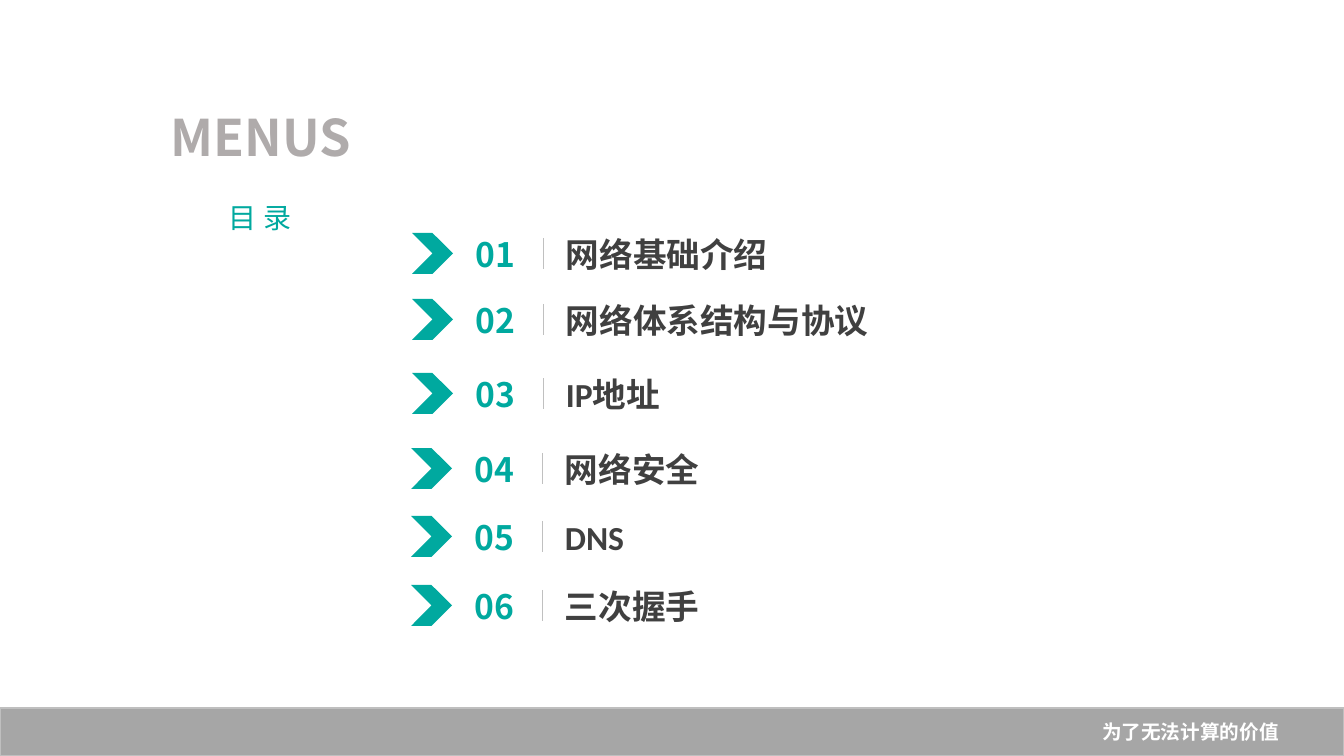
import dataclasses

import lxml.etree
import pptx
import pptx.dml.color
import pptx.enum.shapes
import pptx.enum.text
import pptx.oxml.ns
import pptx.util

SHAPE = pptx.enum.shapes.MSO_SHAPE
ALIGN = pptx.enum.text.PP_ALIGN
MIDDLE = pptx.enum.text.MSO_ANCHOR.MIDDLE


@dataclasses.dataclass(frozen=True)
class Theme:
    teal: str = "00A99F"
    dark: str = "404040"
    silver: str = "AFABAB"
    rule: str = "C0C0C0"
    band: str = "A6A6A6"
    edge: str = "BFBFBF"
    white: str = "FFFFFF"
    head: int = 36
    item: int = 24
    name: int = 20
    foot: int = 14
    sans: str = "Noto Sans CJK SC"
    latin: str = "Calibri"


def px(count):
    return pptx.util.Emu(round(count * 914400 / 100.8))


def color(code):
    return pptx.dml.color.RGBColor.from_string(code)


def apply(target, values):
    for key, value in values.items():
        setattr(target, key, value)


class Deck:
    def __init__(self, theme):
        self.theme = theme
        self.file = pptx.Presentation()
        apply(self.file, {"slide_width": px(1344), "slide_height": px(756)})
        self.slide = self.file.slides.add_slide(self.file.slide_layouts[5])

    def label(self, shape, text, size, tint, face, bold=True, align=ALIGN.CENTER):
        frame = shape.text_frame
        apply(frame, {"word_wrap": True, "vertical_anchor": MIDDLE})
        para = frame.paragraphs[0]
        para.alignment = align
        run = para.add_run()
        run.text = text
        apply(run.font, {"size": pptx.util.Pt(size), "bold": bold, "name": face})
        run.font.color.rgb = color(tint)
        east = lxml.etree.SubElement(run.font._element, pptx.oxml.ns.qn("a:ea"))
        east.set("typeface", self.theme.sans)
        return para

    def title(self, box, text):
        shape = self.slide.shapes.title
        apply(shape, dict(zip(("left", "top", "width", "height"), map(px, box))))
        para = self.label(shape, text, self.theme.name, self.theme.teal,
                          self.theme.sans, bold=False)
        para.line_spacing = 0.9

    def text(self, box, *args, **style):
        self.label(self.slide.shapes.add_textbox(*map(px, box)), *args, **style)

    def shape(self, kind, box, fill, edge=None):
        shape = self.slide.shapes.add_shape(kind, *map(px, box))
        shape.shadow.inherit = False
        shape.fill.solid()
        shape.fill.fore_color.rgb = color(fill)
        if edge:
            shape.line.color.rgb = color(edge)
            shape.line.width = pptx.util.Pt(1)
        else:
            shape.line.fill.background()
        return shape

    def line(self, left, top, height):
        line = self.slide.shapes.add_connector(
            pptx.enum.shapes.MSO_CONNECTOR.STRAIGHT,
            px(left), px(top), px(left), px(top + height))
        line.line.color.rgb = color(self.theme.rule)
        line.line.width = pptx.util.Pt(0.5)
        lxml.etree.SubElement(line._element.spPr, pptx.oxml.ns.qn("a:effectLst"))

    def entry(self, left, top, number, topic):
        look = self.theme
        self.shape(SHAPE.CHEVRON, (left, top + 19, 41, 41), look.teal)
        self.text((left + 41, top, 85, 80), f"{number:02}", look.item, look.teal, look.sans)
        self.line(left + 131, top + 24, 31)
        self.text((left + 144, top, 442, 80), topic, look.item, look.dark,
                  look.latin, align=ALIGN.LEFT)

    def footer(self, text):
        look = self.theme
        band = self.shape(SHAPE.RECTANGLE, (0, 708, 1344, 48), look.band, look.edge)
        self.label(band, text, look.foot, look.white, look.latin, align=ALIGN.RIGHT)
        band.text_frame.margin_right = px(65)


ITEMS = (
    (412, 214, "网络基础介绍"),
    (412, 280, "网络体系结构与协议"),
    (412, 354, "IP地址"),
    (411, 429, "网络安全"),
    (411, 497, "DNS"),
    (411, 566, "三次握手"),
)


def main():
    look = Theme()
    deck = Deck(look)
    deck.text((76, 94, 369, 85), "MENUS", look.head, look.silver, look.sans)
    deck.title((155, 171, 210, 96), "目 录")
    for number, (left, top, topic) in enumerate(ITEMS, 1):
        deck.entry(left, top, number, topic)
    deck.footer("为了无法计算的价值")
    deck.file.save("out.pptx")


if __name__ == "__main__":
    main()
